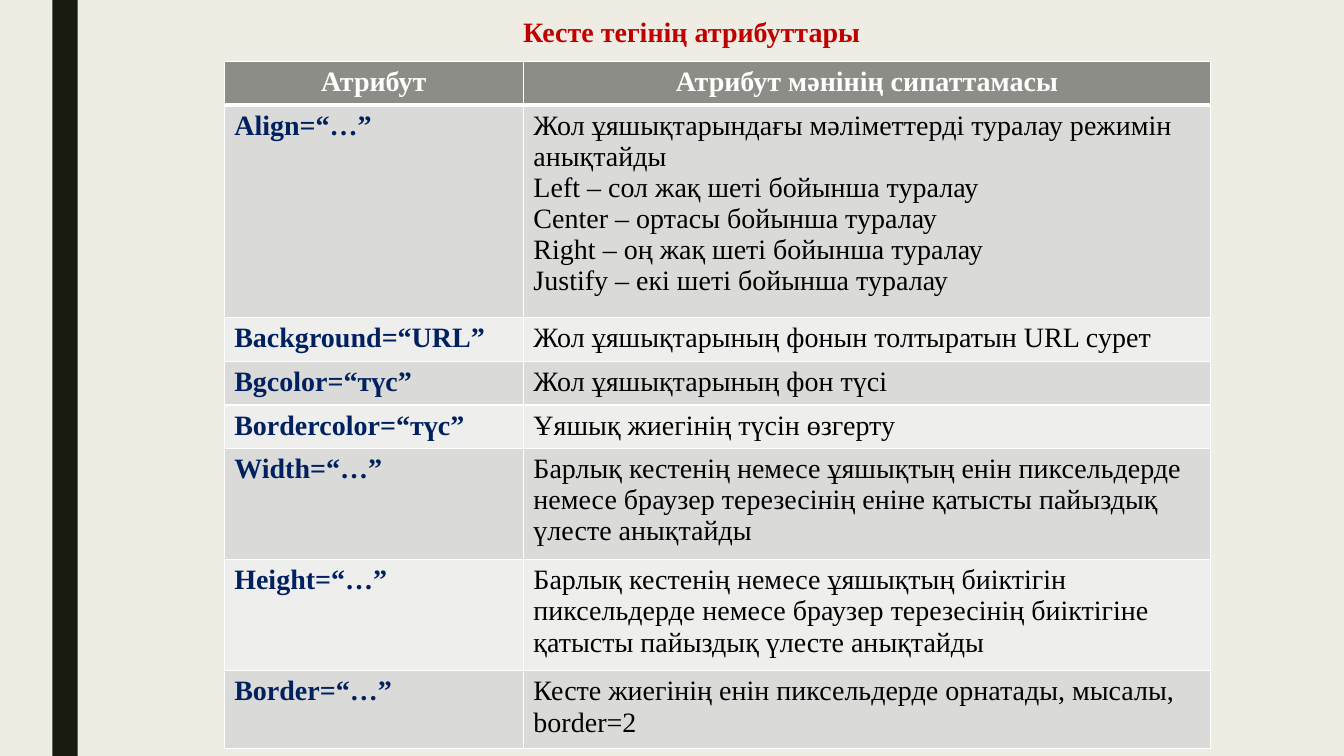
from lxml.etree import SubElement
from pptx import Presentation
from pptx.dml.color import RGBColor
from pptx.enum.shapes import MSO_SHAPE
from pptx.enum.text import MSO_ANCHOR, MSO_AUTO_SIZE, PP_ALIGN
from pptx.oxml.ns import qn
from pptx.util import Cm, Pt

TITLE = "Кесте тегінің атрибуттары"
HEADINGS = ("Атрибут", "Атрибут мәнінің сипаттамасы")

# Attribute, paragraphs of its description, number of lines they take
ATTRIBUTES = [
    ("Align=“…”", [
        "Жол ұяшықтарындағы мәліметтерді туралау режимін анықтайды",
        "Left – сол жақ шеті бойынша туралау",
        "Center – ортасы бойынша туралау",
        "Right – оң жақ шеті бойынша туралау",
        "Justify – екі шеті бойынша туралау"], 6),
    ("Background=“URL”", ["Жол ұяшықтарының фонын толтыратын URL сурет"], 1),
    ("Bgcolor=“түс”", ["Жол ұяшықтарының фон түсі"], 1),
    ("Bordercolor=“түс”", ["Ұяшық жиегінің түсін өзгерту"], 1),
    ("Width=“…”", [
        "Барлық кестенің немесе ұяшықтың енін пиксельдерде немесе браузер "
        "терезесінің еніне қатысты пайыздық үлесте анықтайды"], 3),
    ("Height=“…”", [
        "Барлық кестенің немесе ұяшықтың биіктігін пиксельдерде немесе браузер "
        "терезесінің биіктігіне қатысты пайыздық үлесте анықтайды"], 3),
    ("Border=“…”", [
        "Кесте жиегінің енін пиксельдерде орнатады, мысалы, border=2"], 2),
]


def color(value):
    return RGBColor.from_string(value)


class SlideBuilder:
    font = {"name": "Times New Roman", "size": Pt(20)}
    background, bar_color, title_color = "EFEDE3", "191B0E", "C00000"
    header_fill, band_fills = "8C8D86", ("DADBD9", "EEEEED")
    header_color, attribute_color, text_color = "FFFFFF", "002060", "000000"
    border_color, thin, thick = "FFFFFF", Pt(1), Pt(3)

    def __init__(self, presentation):
        self.slide = presentation.slides.add_slide(presentation.slide_layouts[5])
        fill = self.slide.background.fill
        fill.solid()
        fill.fore_color.rgb = color(self.background)

    def set_text(self, frame, lines, text_color, bold, alignment=PP_ALIGN.LEFT):
        frame.text = "\n".join(lines)
        for paragraph in frame.paragraphs:
            paragraph.alignment = alignment
            font = paragraph.runs[0].font
            for name, value in {**self.font, "bold": bold}.items():
                setattr(font, name, value)
            font.color.rgb = color(text_color)

    def bar(self, left, top, width, height):
        shape = self.slide.shapes.add_shape(
            MSO_SHAPE.RECTANGLE, left, top, width, height)
        shape.shadow.inherit = False
        shape.fill.solid()
        shape.fill.fore_color.rgb = color(self.bar_color)
        shape.line.fill.background()

    def title(self, text, left, top, width, height):
        shape = self.slide.shapes.title
        placement = {"left": left, "top": top, "width": width, "height": height}
        for name, value in placement.items():
            setattr(shape, name, value)
        self.set_text(shape.text_frame, [text], self.title_color, True)
        frame_format = {"word_wrap": False, "vertical_anchor": MSO_ANCHOR.TOP,
                        "auto_size": MSO_AUTO_SIZE.SHAPE_TO_FIT_TEXT}
        for name, value in frame_format.items():
            setattr(shape.text_frame, name, value)

    def cell(self, cell, lines, fill, text_color, bold, alignment, top, bottom):
        self.set_text(cell.text_frame, lines, text_color, bold, alignment)
        properties = cell._tc.get_or_add_tcPr()
        borders = {"a:lnL": self.thin, "a:lnR": self.thin,
                   "a:lnT": top, "a:lnB": bottom}
        for tag, width in borders.items():
            line = SubElement(properties, qn(tag), w=str(width))
            solid = SubElement(line, qn("a:solidFill"))
            SubElement(solid, qn("a:srgbClr"), val=self.border_color)
        cell.fill.solid()
        cell.fill.fore_color.rgb = color(fill)

    def table(self, headings, rows, left, top, widths):
        # Row height follows the number of text lines
        heights = [Cm(0.25 + 0.85 * count)
                   for count in [1] + [row[2] for row in rows]]
        table = self.slide.shapes.add_table(
            len(heights), len(widths), left, top, sum(widths), sum(heights)).table
        for column, width in zip(table.columns, widths):
            column.width = width
        for row, height in zip(table.rows, heights):
            row.height = height

        for index, heading in enumerate(headings):
            self.cell(table.cell(0, index), [heading], self.header_fill,
                      self.header_color, True, PP_ALIGN.CENTER,
                      self.thin, self.thick)
        for index, (attribute, description, _) in enumerate(rows):
            fill = self.band_fills[index % 2]
            edges = (self.thin if index else self.thick, self.thin)
            self.cell(table.cell(index + 1, 0), [attribute], fill,
                      self.attribute_color, True, PP_ALIGN.LEFT, *edges)
            self.cell(table.cell(index + 1, 1), description, fill,
                      self.text_color, False, PP_ALIGN.LEFT, *edges)


def main():
    presentation = Presentation()
    presentation.slide_width, presentation.slide_height = Cm(33.87), Cm(19.05)
    builder = SlideBuilder(presentation)

    # Side bar and title
    builder.bar(Cm(1.32), Cm(0), Cm(0.64), presentation.slide_height)
    builder.title(TITLE, Cm(12.93), Cm(0.23), Cm(9.09), Cm(1.11))

    # Attribute table
    builder.table(HEADINGS, ATTRIBUTES, Cm(5.65), Cm(1.55), [Cm(7.54), Cm(17.32)])

    presentation.save("out.pptx")


if __name__ == "__main__":
    main()
